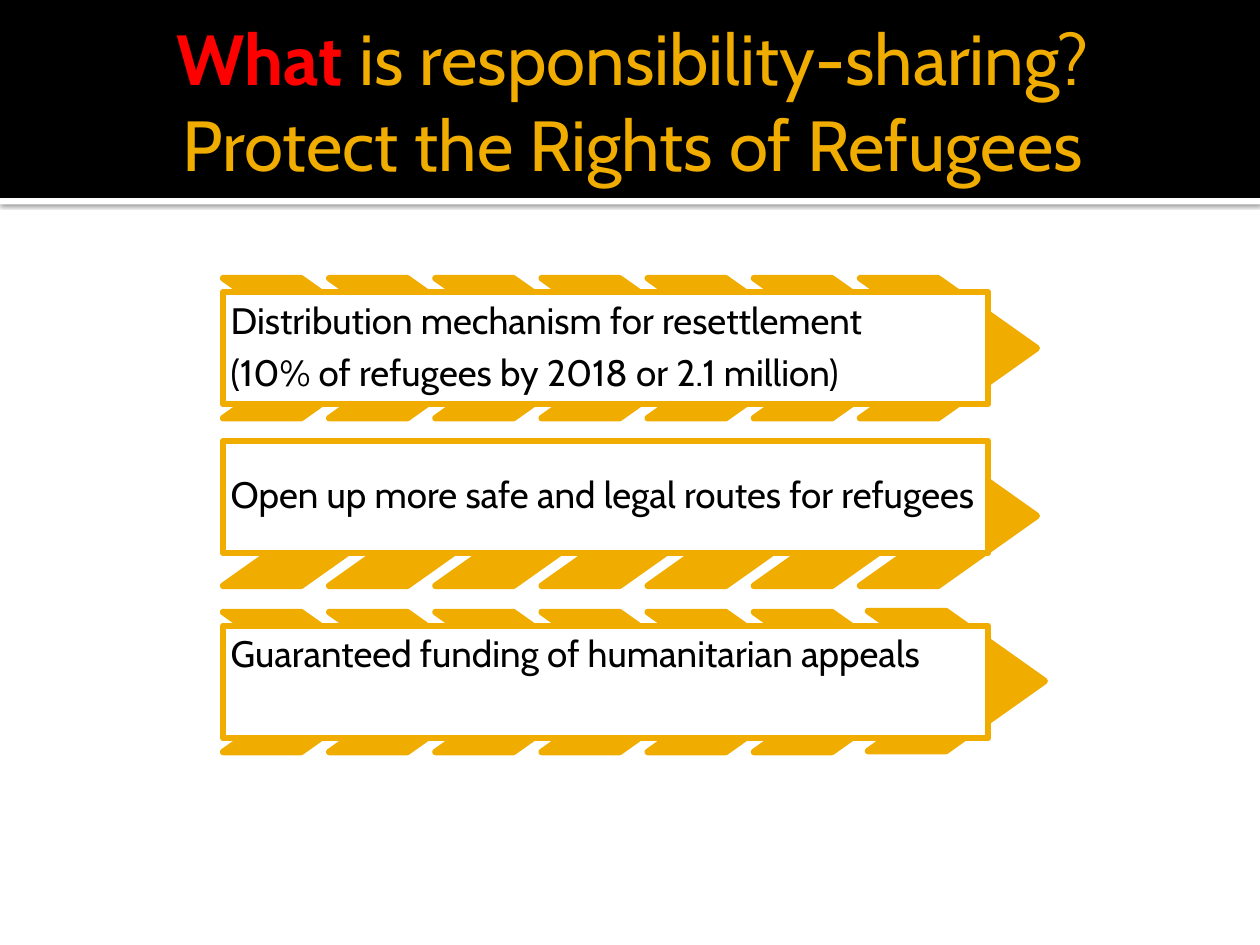
from lxml import etree
from pptx import Presentation
from pptx.dml.color import RGBColor
from pptx.enum.shapes import MSO_SHAPE
from pptx.enum.text import MSO_ANCHOR, PP_ALIGN
from pptx.oxml import parse_xml
from pptx.util import Cm, Pt

RECTANGLE, CHEVRON = MSO_SHAPE.RECTANGLE, MSO_SHAPE.CHEVRON
TOP, MIDDLE = MSO_ANCHOR.TOP, MSO_ANCHOR.MIDDLE
LEFT, CENTER = PP_ALIGN.LEFT, PP_ALIGN.CENTER
BLACK = RGBColor(0x00, 0x00, 0x00)
WHITE = RGBColor(0xFF, 0xFF, 0xFF)
GOLD = RGBColor(0xF0, 0xAD, 0x00)
RED = RGBColor(0xFF, 0x00, 0x00)
DRAWING_NS = "http://schemas.openxmlformats.org/drawingml/2006/main"
FONT = "Cabin"

prs = Presentation()
prs.slide_width, prs.slide_height = Cm(25.4), Cm(19.05)
slide = prs.slides.add_slide(prs.slide_layouts[6])


def add_block(kind, left, top, width, height, fill, outline=None):
    block = slide.shapes.add_shape(kind, Cm(left), Cm(top), Cm(width), Cm(height))
    block.shadow.inherit = False
    block.fill.solid()
    block.fill.fore_color.rgb = fill
    if outline is None:
        block.line.fill.background()
    else:
        block.line.color.rgb = outline
        block.line.width = Pt(3.78)
    return block


def apply_format(target, values):
    for name, value in values.items():
        setattr(target, name, value)


# Header band with a shadowed white edge
edge = add_block(RECTANGLE, 0, 3.99, 25.4, 0.13, WHITE)
effects = edge._element.spPr.find(f"{{{DRAWING_NS}}}effectLst")
effects.append(parse_xml(
    f'<a:outerShdw xmlns:a="{DRAWING_NS}" blurRad="{Pt(2.5)}" dist="{Pt(0.8)}" '
    'dir="5400000" algn="tl" rotWithShape="0"/>'))
shade = etree.SubElement(effects[0], f"{{{DRAWING_NS}}}srgbClr", val="000000")
etree.SubElement(shade, f"{{{DRAWING_NS}}}alpha", val="60000")
add_block(RECTANGLE, 0, 0, 25.4, 3.99, BLACK)

# Title
title = slide.shapes.add_textbox(Cm(1.27), Cm(0.43), Cm(22.86), Cm(3.18)).text_frame
apply_format(title, {
    "word_wrap": True, "vertical_anchor": MIDDLE,
    "margin_left": Cm(0.25), "margin_right": Cm(0.13),
    "margin_top": Cm(0.13), "margin_bottom": Cm(0.13)})
heading = title.paragraphs[0]
heading.alignment = CENTER
apply_format(heading.font, {"size": Pt(40.5), "name": FONT})
for words, color, bold in [
    ("What ", RED, True),
    ("is responsibility-sharing?", GOLD, False),
    (None, None, None),
    ("Protect the Rights of Refugees", GOLD, False),
]:
    if words is None:
        heading.add_line_break()
        continue
    run = heading.add_run()
    run.text = words
    apply_format(run.font, {"size": Pt(40.5), "name": FONT, "bold": bold})
    run.font.color.rgb = color

# Proposals: chevron row top, panel top, anchor, lines, shift of the last chevron
proposals = [
    (5.61, 5.89, MIDDLE, ["Distribution mechanism for resettlement",
                          "(10% of refugees by 2018 or 2.1 million)"], (0, 0)),
    (8.99, 8.89, MIDDLE, ["Open up more safe and legal routes for refugees"], (0, 0)),
    (12.34, 12.62, TOP, ["Guaranteed funding of humanitarian appeals"], (0.16, -0.02)),
]
ROW_LEFT, CHEVRON_STEP, CHEVRON_COUNT = 4.5, 2.14, 7
for row_top, panel_top, anchor, lines, last_shift in proposals:
    for i in range(CHEVRON_COUNT):
        dx, dy = last_shift if i == CHEVRON_COUNT - 1 else (0, 0)
        chevron = add_block(CHEVRON, ROW_LEFT + i * CHEVRON_STEP + dx, row_top + dy,
                            3.56, 2.82, GOLD, GOLD)
        chevron.adjustments[0] = 0.706

    panel = add_block(RECTANGLE, ROW_LEFT, panel_top, 15.42, 2.26, WHITE, GOLD).text_frame
    apply_format(panel, {
        "word_wrap": True, "vertical_anchor": anchor,
        "margin_left": Cm(0.15), "margin_right": Cm(0.15),
        "margin_top": Cm(0.19), "margin_bottom": Cm(0.19)})
    for i, line in enumerate(lines):
        paragraph = panel.add_paragraph() if i else panel.paragraphs[0]
        apply_format(paragraph, {"text": line, "alignment": LEFT,
                                 "line_spacing": 0.9, "space_after": Pt(7)})
        font = paragraph.runs[0].font
        apply_format(font, {"size": Pt(21), "name": FONT})
        font.color.rgb = BLACK

prs.save("out.pptx")
